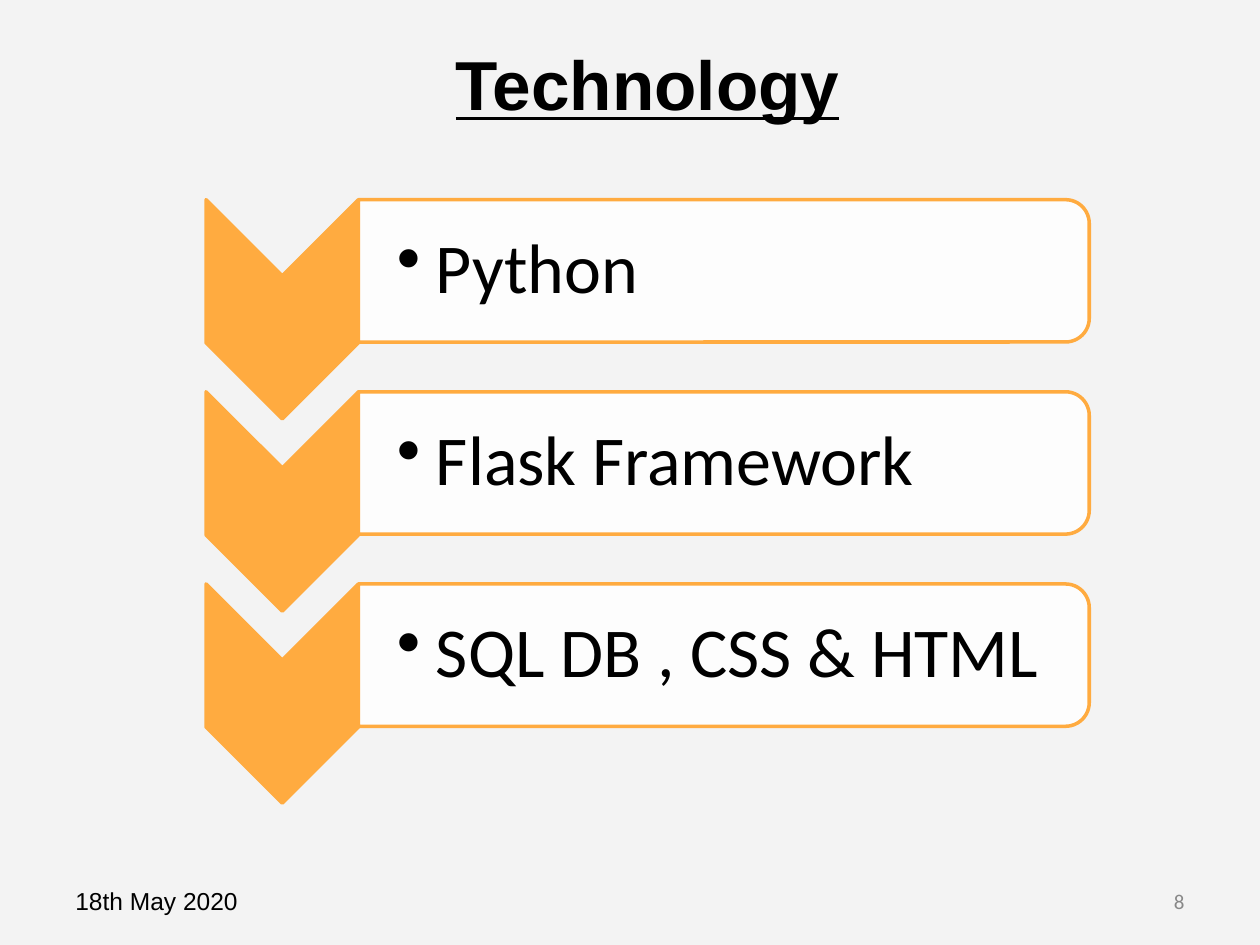
"""Build the Technology slide: a vertical chevron list of three tools."""
from lxml import etree
from pptx import Presentation
from pptx import util as u
from pptx.dml.color import RGBColor
from pptx.enum import shapes, text
from pptx.oxml.ns import qn

BLACK, GREY, WHITE, ORANGE = "000000", "888888", "FFFFFF", "FFAB40"
BACKGROUND = "F3F3F3"
ITEMS = ["Python", "Flask Framework", "SQL DB , CSS & HTML"]
STEP = 3.05 / 2


def rgb(value):
    """Turn a hex string into a colour."""
    return RGBColor.from_string(value)


class Deck:
    """Hold the style and the current slide."""

    def __init__(self, prs):
        """Add a slide with a title and a plain background."""
        self.slide = prs.slides.add_slide(prs.slide_layouts[5])
        fill = self.slide.background.fill
        fill.solid()
        fill.fore_color.rgb = rgb(BACKGROUND)

    def set_text(self, sp, words, size, font="Arial", color=BLACK, align=text.PP_ALIGN.LEFT,
                 anchor=text.MSO_ANCHOR.MIDDLE):
        """Set one formatted paragraph in a shape and return it."""
        tf = sp.text_frame
        tf.word_wrap = True
        tf.auto_size = text.MSO_AUTO_SIZE.NONE
        tf.vertical_anchor = anchor
        p = tf.paragraphs[0]
        p.text = words
        p.alignment = align
        p.font.name = font
        p.font.size = u.Pt(size)
        p.font.color.rgb = rgb(color)
        return p

    def title(self, words, box):
        """Place and format the title placeholder."""
        sp = self.slide.shapes.title
        sp.left, sp.top, sp.width, sp.height = map(u.Inches, box)
        p = self.set_text(sp, words, 39.6, align=text.PP_ALIGN.CENTER,
                          anchor=text.MSO_ANCHOR.TOP)
        p.font.bold = p.font.underline = True
        sp.text_frame.margin_top = 0

    def label(self, words, box, size, **style):
        """Add a text box with one line."""
        sp = self.slide.shapes.add_textbox(*map(u.Inches, box))
        self.set_text(sp, words, size, **style)
        return sp

    def bullet(self, words, box):
        """Add a text box with one bulleted line."""
        sp = self.label(words, box, 40, font="Calibri")
        tf = sp.text_frame
        tf.margin_left = u.Inches(0.31)
        tf.margin_right = tf.margin_top = tf.margin_bottom = u.Inches(0.03)
        p = tf.paragraphs[0]
        p.level = 1
        p.line_spacing = 0.9
        pPr = p._p.get_or_add_pPr()
        pPr.set("marL", str(u.Inches(0.31)))
        pPr.set("indent", str(-u.Inches(0.31)))
        mark = etree.Element(qn("a:buChar"), char="•")
        pPr.find(qn("a:lnSpc")).addnext(mark)

    def turned(self, kind, box, fill, adjustments, opacity=100):
        """Add an outlined shape turned by 90 degrees."""
        sp = self.slide.shapes.add_shape(kind, *map(u.Inches, box))
        sp.rotation = 90
        sp.shadow.inherit = False
        for i, value in enumerate(adjustments):
            sp.adjustments[i] = value
        sp.fill.solid()
        sp.fill.fore_color.rgb = rgb(fill)
        sp.line.color.rgb = rgb(ORANGE)
        sp.line.width = u.Pt(2)
        if opacity < 100:
            color = sp._element.spPr.find(qn("a:solidFill"))[0]
            etree.SubElement(color, qn("a:alpha"), val=str(opacity * 1000))


def main():
    """Build and save the slide."""
    prs = Presentation()
    prs.slide_width, prs.slide_height = u.Inches(10), u.Inches(7.5)
    deck = Deck(prs)
    deck.title("Technology", (0.64, 0.33, 9, 1.25))
    deck.label("18th May 2020", (0.5, 6.95, 2.33, 0.4), 14)
    deck.label("8", (7.17, 6.95, 2.33, 0.4), 12, font="Calibri", color=GREY,
               align=text.PP_ALIGN.RIGHT)
    kinds = shapes.MSO_SHAPE
    for i, item in enumerate(ITEMS):
        dy = i * STEP
        deck.turned(kinds.CHEVRON, (1.37, 1.85 + dy, 1.74, 1.21), ORANGE, [0.5])
        deck.turned(kinds.ROUND_2_SAME_RECTANGLE, (5.18, -0.75 + dy, 1.13, 5.8), WHITE,
                    [0.167, 0], opacity=89)
        deck.bullet(item, (2.84, 1.64 + dy, 5.75, 1.02))
    prs.save("out.pptx")


main()
